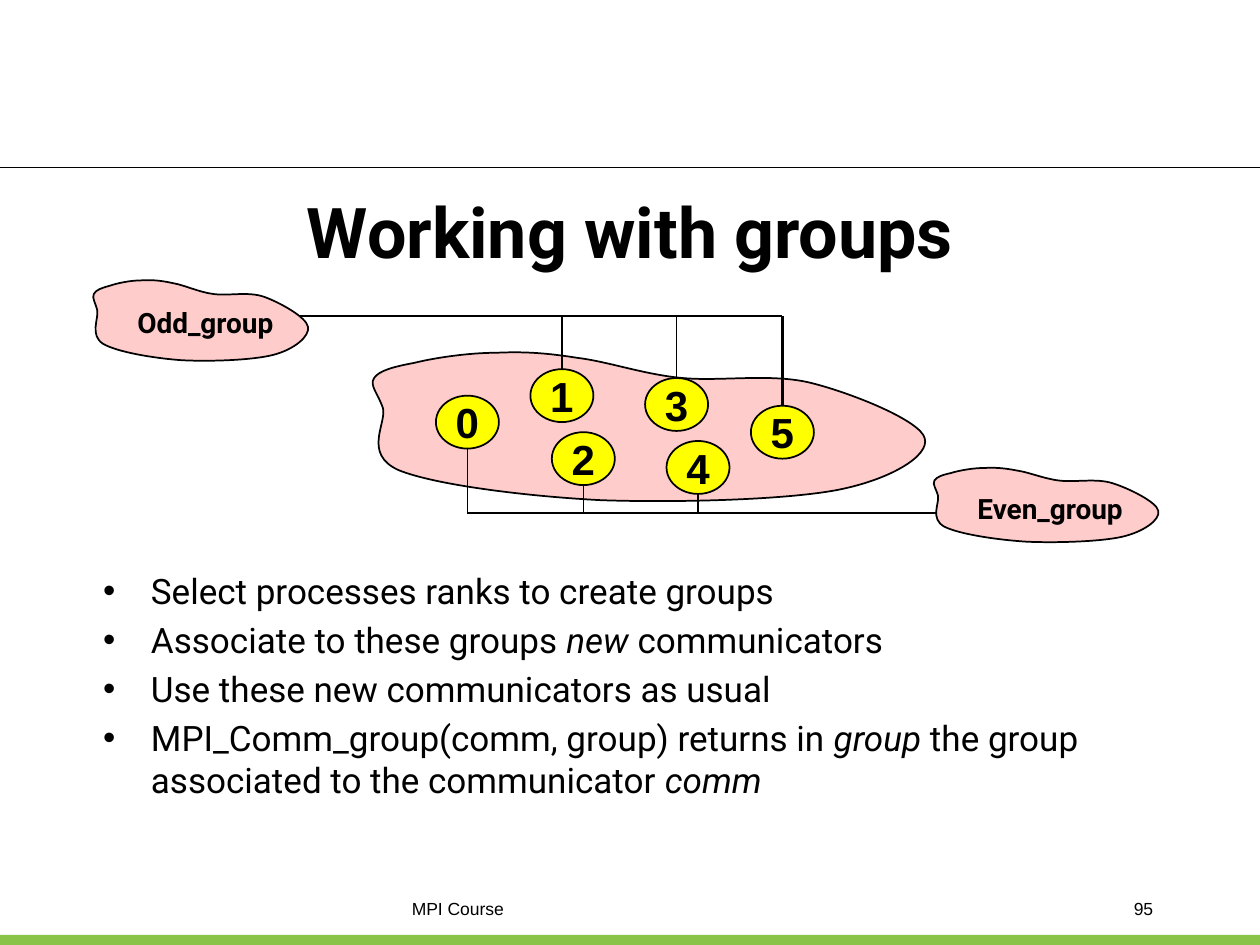
from lxml import etree
from pptx import Presentation
from pptx.dml.color import RGBColor
from pptx.enum.shapes import MSO_CONNECTOR, MSO_SHAPE
from pptx.enum.text import MSO_ANCHOR, MSO_AUTO_SIZE, PP_ALIGN
from pptx.oxml.ns import qn
from pptx.util import Pt

PX = 9144
BLACK = RGBColor(0x00, 0x00, 0x00)
GREEN = RGBColor(0x89, 0xC4, 0x48)
PINK = RGBColor(0xFF, 0xCC, 0xCC)
YELLOW = RGBColor(0xFF, 0xFF, 0x00)
RECTANGLE, OVAL = MSO_SHAPE.RECTANGLE, MSO_SHAPE.OVAL
STRAIGHT = MSO_CONNECTOR.STRAIGHT
LEFT, CENTER, RIGHT = PP_ALIGN.LEFT, PP_ALIGN.CENTER, PP_ALIGN.RIGHT
MIDDLE, NO_AUTOFIT = MSO_ANCHOR.MIDDLE, MSO_AUTO_SIZE.NONE

TITLE_FONT = {"name": "Roboto", "size": Pt(40), "bold": True}
BODY_FONT = {"name": "Roboto", "size": Pt(20)}
GROUP_FONT = {"name": "Roboto", "size": Pt(16), "bold": True}
RANK_FONT = {"name": "Arial", "size": Pt(24), "bold": True}
FOOTER_FONT = {"name": "Arial", "size": Pt(10)}

BLOB_WIDTH, BLOB_HEIGHT = 450, 120
BLOB_START = (41, 9)
BLOB_CURVES = [
    (57, 5), (84, 1), (106, 1),
    (127, 0), (145, 1), (170, 5),
    (195, 8), (222, 18), (253, 21),
    (284, 24), (324, 17), (356, 25),
    (388, 33), (443, 55), (446, 69),
    (450, 83), (418, 102), (376, 110),
    (333, 118), (247, 120), (189, 118),
    (131, 115), (57, 106), (28, 94),
    (0, 81), (19, 57), (16, 45),
    (12, 33), (5, 27), (9, 21),
    (13, 15), (25, 12), BLOB_START,
]

RANK_WIDTH, RANK_HEIGHT = 50, 42
RANKS = [(58, 35, 1), (133, 14, 1), (150, 64, 1),
         (224, 21, 1), (241, 71, 1), (308, 43, 1.5)]

BULLETS = [
    [("Select processes ranks to create groups", False)],
    [("Associate to these groups ", False), ("new", True),
     (" communicators", False)],
    [("Use these new communicators as usual", False)],
    [("MPI_Comm_group(comm, group) returns in ", False), ("group", True),
     (" the group associated to the communicator ", False), ("comm", True)],
]


def to_emu(*lengths):
    return [round(length * PX) for length in lengths]


def format_font(font, values):
    for name, value in values.items():
        setattr(font, name, value)
    font.color.rgb = BLACK


def write_text(shape, text, font, alignment):
    paragraph = shape.text_frame.paragraphs[0]
    paragraph.text = text
    paragraph.alignment = alignment
    format_font(paragraph.font, font)


def add_text(slide, box, text, font, alignment):
    shape = slide.shapes.add_textbox(*to_emu(*box))
    shape.text_frame.word_wrap = True
    write_text(shape, text, font, alignment)


def style_shape(shape, fill):
    shape.shadow.inherit = False
    shape.fill.solid()
    shape.fill.fore_color.rgb = fill
    shape.line.color.rgb = BLACK
    shape.line.width = Pt(1)


def add_line(slide, start, end, width=1):
    line = slide.shapes.add_connector(STRAIGHT, *to_emu(*start, *end))
    line.line.color.rgb = BLACK
    line.line.width = Pt(width)
    etree.SubElement(line._element.spPr, qn("a:effectLst"))


def add_blob(slide, box):
    left, top, width, height = box
    scale = (width * PX / BLOB_WIDTH, height * PX / BLOB_HEIGHT)
    builder = slide.shapes.build_freeform(*BLOB_START, scale=scale)
    builder.add_line_segments(BLOB_CURVES, close=False)
    blob = builder.convert_to_shape(*to_emu(left, top))
    outline = next(blob._element.iter(qn("a:path")))
    segments = outline.findall(qn("a:lnTo"))
    for index in range(0, len(segments), 3):
        curve = etree.SubElement(outline, qn("a:cubicBezTo"))
        for segment in segments[index:index + 3]:
            curve.append(segment[0])
            outline.remove(segment)
    etree.SubElement(outline, qn("a:close"))
    style_shape(blob, PINK)


def add_header(slide, box):
    left, top, width, height = box
    add_line(slide, (left, top + height), (left + width, top + height), 0.75)


def add_title(slide, box, text):
    title = slide.shapes.title
    title.left, title.top, title.width, title.height = to_emu(*box)
    title.text_frame.auto_size = NO_AUTOFIT
    title.text_frame.vertical_anchor = MIDDLE
    write_text(title, text, TITLE_FONT, CENTER)


def add_bullets(slide, box):
    shape = slide.shapes.add_textbox(*to_emu(*box))
    frame = shape.text_frame
    frame.word_wrap = True
    for index, runs in enumerate(BULLETS):
        paragraph = frame.add_paragraph() if index else frame.paragraphs[0]
        properties = paragraph._p.get_or_add_pPr()
        indent = 38 * PX
        properties.set("marL", str(indent))
        properties.set("indent", str(-indent))
        etree.SubElement(properties, qn("a:buFont"), typeface="Arial")
        etree.SubElement(properties, qn("a:buChar"), char="•")
        paragraph.space_before = Pt(4 if index else 0)
        format_font(paragraph.font, BODY_FONT)
        for text, italic in runs:
            run = paragraph.add_run()
            run.text = text
            run.font.italic = italic


def add_communicator(slide, box, odd_rail, even_rail):
    left, top = box[:2]
    add_blob(slide, box)
    for rank, (x, y, _) in enumerate(RANKS):
        shape = slide.shapes.add_shape(
            OVAL, *to_emu(left + x, top + y, RANK_WIDTH, RANK_HEIGHT))
        style_shape(shape, YELLOW)
        shape.text_frame.word_wrap = False
        shape.text_frame.vertical_anchor = MIDDLE
        write_text(shape, str(rank), RANK_FONT, CENTER)
    for parity, (rail_x, rail_y) in enumerate((even_rail, odd_rail)):
        centers = []
        for x, y, stem_width in RANKS[parity::2]:
            center = left + x + RANK_WIDTH / 2
            edge = top + y + (0 if parity else RANK_HEIGHT)
            add_line(slide, (center, rail_y), (center, edge), stem_width)
            centers.append(center)
        rail_start = max(centers) if parity else min(centers)
        add_line(slide, (rail_start, rail_y), (rail_x, rail_y))


def add_group(slide, box, label_box, text):
    add_blob(slide, box)
    x, y, width, height = label_box
    add_text(slide, (box[0] + x, box[1] + y, width, height),
             text, GROUP_FONT, CENTER)


def add_footer(slide, box):
    left, top, width, height = box
    bar = slide.shapes.add_shape(
        RECTANGLE, *to_emu(left, top + height - 8, width, 8))
    style_shape(bar, GREEN)
    bar.line.fill.background()
    add_text(slide, (left + 317, top, 367, 25), "MPI Course", FOOTER_FONT, LEFT)
    add_text(slide, (left + 717, top, 208, 25), "95", FOOTER_FONT, RIGHT)


def main():
    presentation = Presentation()
    presentation.slide_width, presentation.slide_height = to_emu(1000, 750)
    slide = presentation.slides.add_slide(presentation.slide_layouts[5])
    add_header(slide, (0, 0, 1000, 133))
    add_footer(slide, (0, 708, 1000, 42))
    add_title(slide, (75, 150, 850, 66), "Working with groups")
    add_bullets(slide, (72, 447, 850, 212))
    add_communicator(slide, (288, 279, 450, 120), (238, 251), (746, 407))
    add_group(slide, (71, 222, 175, 65), (17, 16, 150, 37), "Odd_group")
    add_group(slide, (738, 371, 183, 60), (17, 14, 157, 37), "Even_group")
    presentation.save("out.pptx")


if __name__ == "__main__":
    main()
